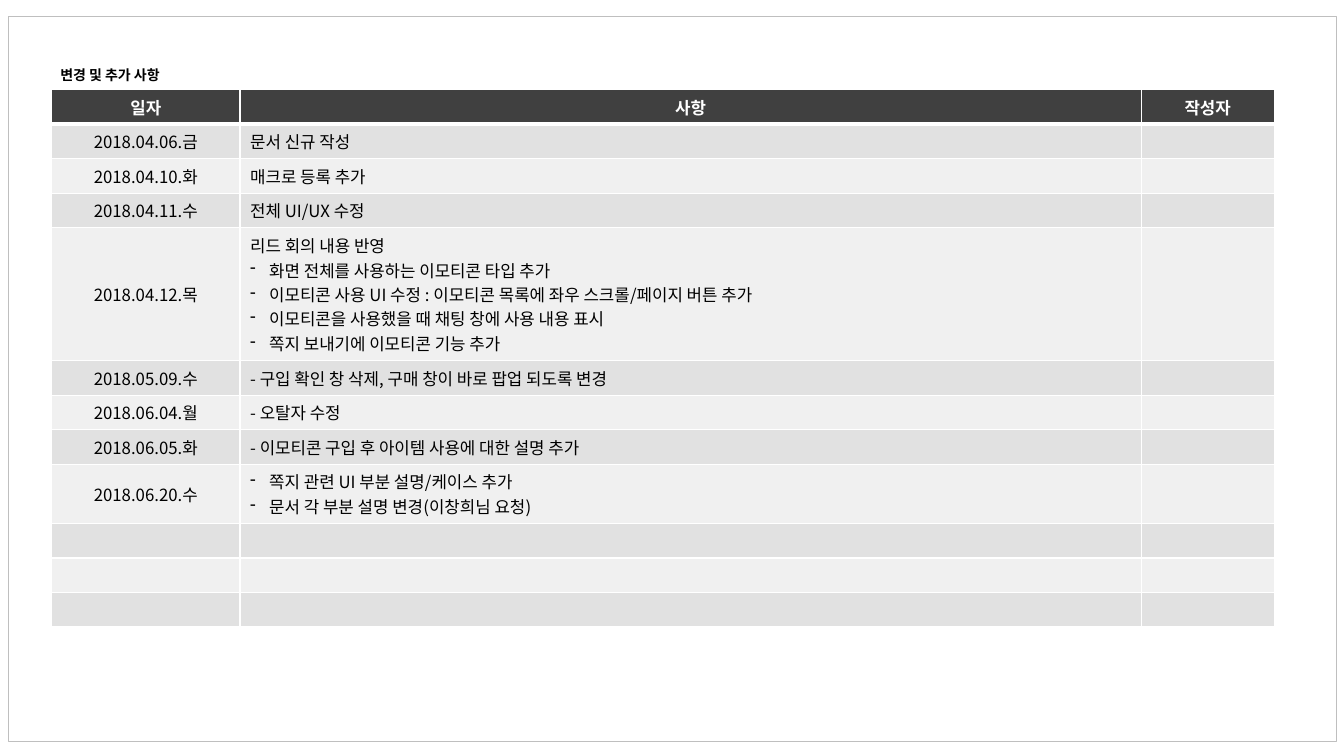
from lxml.etree import SubElement
from pptx import Presentation
from pptx.dml.color import RGBColor
from pptx.enum.shapes import MSO_SHAPE as Shape
from pptx.enum.text import MSO_ANCHOR as Anchor, MSO_AUTO_SIZE as AutoSize, PP_ALIGN as Align
from pptx.oxml.ns import qn
from pptx.util import Cm, Pt

FONT = "Noto Sans CJK KR"
BLACK = RGBColor(0x00, 0x00, 0x00)
WHITE = RGBColor(0xFF, 0xFF, 0xFF)
FRAME_GRAY = RGBColor(0xBF, 0xBF, 0xBF)
HEADER_GRAY = RGBColor(0x40, 0x40, 0x40)
BANDS = RGBColor(0xE1, 0xE1, 0xE1), RGBColor(0xF0, 0xF0, 0xF0)

TITLE_FORMAT = {"size": Pt(10), "bold": True}
HEADER_FORMAT = {"size": Pt(12), "bold": True, "color": WHITE}
BODY_FORMAT = {"size": Pt(12), "bold": False}

COLUMN_WIDTHS = 4.75, 22.71, 3.35
LINE_HEIGHT = 0.62
CELL_PADDING = 0.25
BULLET_INDENT = Cm(0.48)

HEADINGS = "일자", "사항", "작성자"
CHANGES = [
    ("2018.04.06.금", ["문서 신규 작성"], []),
    ("2018.04.10.화", ["매크로 등록 추가"], []),
    ("2018.04.11.수", ["전체 UI/UX 수정"], []),
    ("2018.04.12.목", ["리드 회의 내용 반영"], [
        "화면 전체를 사용하는 이모티콘 타입 추가",
        "이모티콘 사용 UI 수정 : 이모티콘 목록에 좌우 스크롤/페이지 버튼 추가",
        "이모티콘을 사용했을 때 채팅 창에 사용 내용 표시",
        "쪽지 보내기에 이모티콘 기능 추가",
    ]),
    ("2018.05.09.수", ["- 구입 확인 창 삭제, 구매 창이 바로 팝업 되도록 변경"], []),
    ("2018.06.04.월", ["- 오탈자 수정"], []),
    ("2018.06.05.화", ["- 이모티콘 구입 후 아이템 사용에 대한 설명 추가"], []),
    ("2018.06.20.수", [], [
        "쪽지 관련 UI 부분 설명/케이스 추가",
        "문서 각 부분 설명 변경(이창희님 요청)",
    ]),
] + [("", [], [])] * 3


def add_span(para, text, formats):
    span = para.add_run()
    span.text = text
    values = {"name": FONT, "color": BLACK, **formats}
    span.font.color.rgb = values.pop("color")
    for name, value in values.items():
        setattr(span.font, name, value)
    SubElement(span.font._element, qn("a:ea"), typeface=FONT)


def add_bullet(para):
    properties = para._p.get_or_add_pPr()
    properties.set("marL", str(BULLET_INDENT))
    properties.set("indent", str(-BULLET_INDENT))
    SubElement(properties, qn("a:buChar"), char="-")


def set_borders(cell, top, bottom):
    properties = cell._tc.get_or_add_tcPr()
    for side, points in (("L", 1), ("R", 1), ("T", top), ("B", bottom)):
        line = SubElement(properties, qn(f"a:ln{side}"), w=str(Pt(points)))
        fill = SubElement(line, qn("a:solidFill"))
        SubElement(fill, qn("a:srgbClr"), val=str(WHITE))


def fill_cell(cell, color, formats, lines, bullets=(), align=Align.LEFT, top=1, bottom=1):
    set_borders(cell, top, bottom)
    cell.fill.solid()
    cell.fill.fore_color.rgb = color
    cell.vertical_anchor = Anchor.MIDDLE
    frame = cell.text_frame
    entries = [(text, False) for text in lines] + [(text, True) for text in bullets]
    for index, (text, bulleted) in enumerate(entries):
        para = frame.add_paragraph() if index else frame.paragraphs[0]
        para.alignment = align
        if bulleted:
            add_bullet(para)
        add_span(para, text, formats)
    if not entries:
        size = str(int(formats["size"].pt * 100))
        SubElement(frame.paragraphs[0]._p, qn("a:endParaRPr"), sz=size)


def add_page_frame(page, left, top, width, height):
    box = page.shapes.add_shape(Shape.RECTANGLE, Cm(left), Cm(top), Cm(width), Cm(height))
    box.shadow.inherit = False
    box.fill.background()
    box.line.color.rgb = FRAME_GRAY
    box.line.width = Pt(0.25)


def add_title(page, left, top, width, height):
    box = page.shapes.add_textbox(Cm(left), Cm(top), Cm(width), Cm(height))
    box.text_frame.word_wrap = False
    box.text_frame.auto_size = AutoSize.SHAPE_TO_FIT_TEXT
    add_span(box.text_frame.paragraphs[0], "변경 및 추가 사항", TITLE_FORMAT)


def add_change_table(page, left, top):
    line_counts = [1] + [max(1, len(lines) + len(bullets)) for _, lines, bullets in CHANGES]
    heights = [CELL_PADDING + LINE_HEIGHT * count for count in line_counts]
    table = page.shapes.add_table(
        len(heights), len(COLUMN_WIDTHS),
        Cm(left), Cm(top), Cm(sum(COLUMN_WIDTHS)), Cm(sum(heights)),
    ).table
    for column, width in zip(table.columns, COLUMN_WIDTHS):
        column.width = Cm(width)
    for row, height in zip(table.rows, heights):
        row.height = Cm(height)
    for cell, heading in zip(table.rows[0].cells, HEADINGS):
        fill_cell(cell, HEADER_GRAY, HEADER_FORMAT, [heading], align=Align.CENTER, bottom=3)
    for index, (date, lines, bullets) in enumerate(CHANGES):
        date_cell, change_cell, author_cell = table.rows[index + 1].cells
        color = BANDS[index % 2]
        edge = 1 if index else 3
        dates = [date] if date else []
        fill_cell(date_cell, color, BODY_FORMAT, dates, align=Align.CENTER, top=edge)
        fill_cell(change_cell, color, BODY_FORMAT, lines, bullets, top=edge)
        fill_cell(author_cell, color, BODY_FORMAT, [], top=edge)


def main():
    deck = Presentation()
    deck.slide_width, deck.slide_height = Cm(33.87), Cm(19.05)
    page = deck.slides.add_slide(deck.slide_layouts[6])
    add_page_frame(page, 0.2, 0.41, 33.48, 18.26)
    add_change_table(page, 1.3, 2.26)
    add_title(page, 1.27, 1.55, 3.38, 0.69)
    deck.save("out.pptx")


if __name__ == "__main__":
    main()
